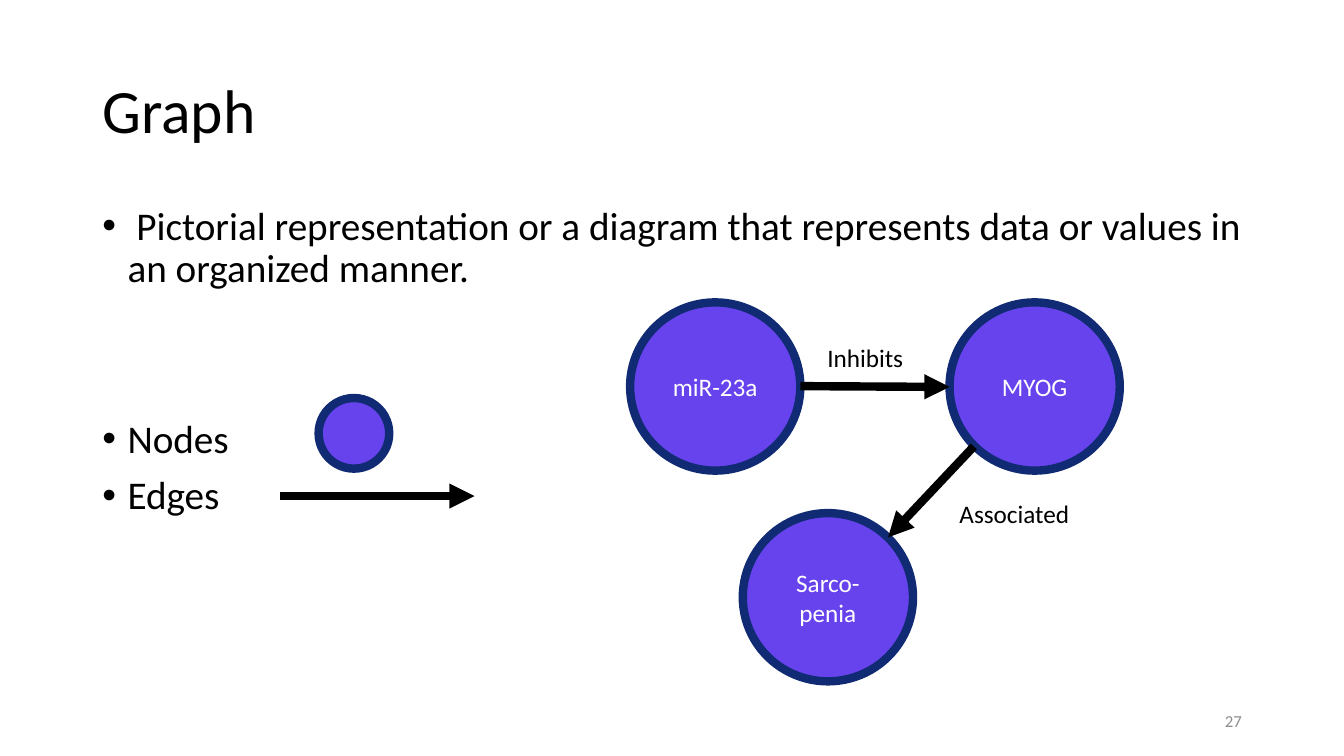
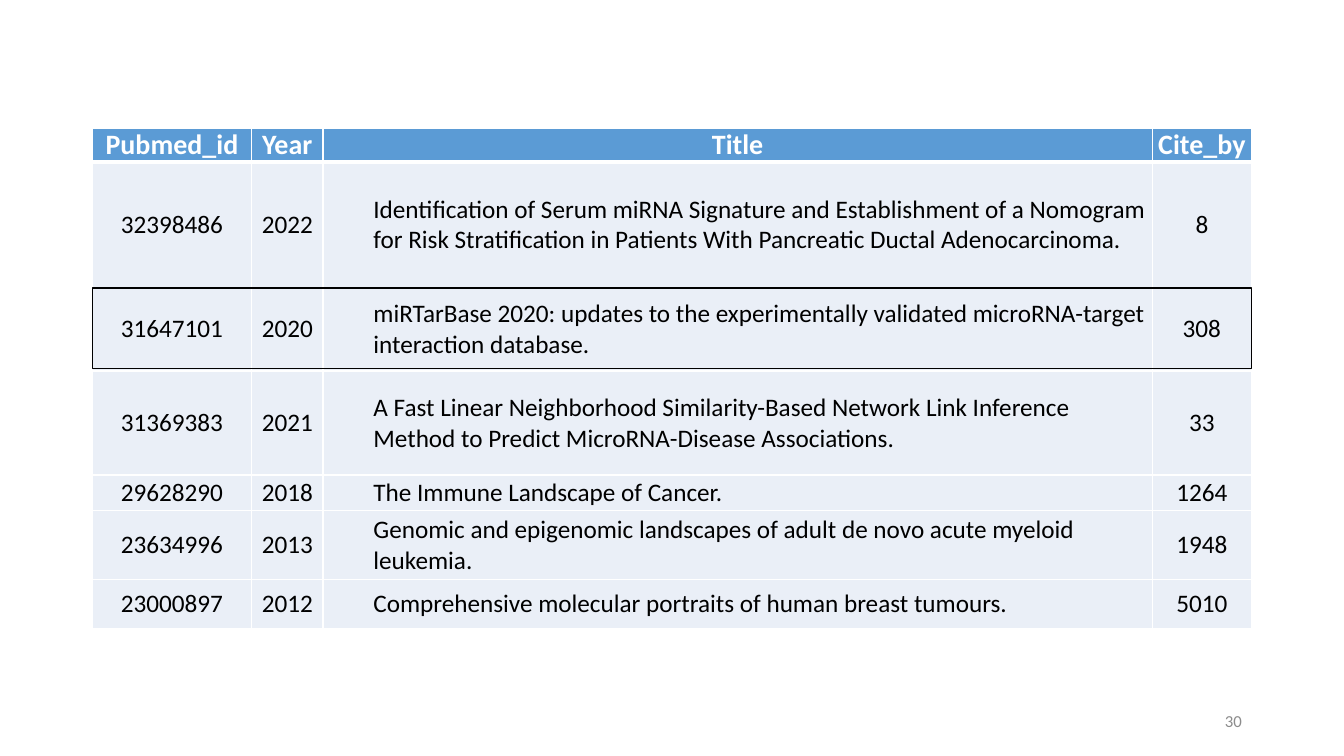
from lxml import etree
from pptx import Presentation
from pptx import util as u
from pptx.dml.color import RGBColor
from pptx.enum import shapes, text
from pptx.oxml import ns

BLACK, WHITE, GRAY = "000000", "FFFFFF", "8C8C8C"
NODE_FILL, NODE_LINE = "6743ED", "102A73"
HEADER_FILL, BODY_FILL = "5B9BD5", "EAEFF7"
LEFT, WIDTH = 2.33, 29.21
NODE_SIZE = (4.29, 4.24)
LEFT_ALIGN, CENTER, RIGHT = text.PP_ALIGN.LEFT, text.PP_ALIGN.CENTER, text.PP_ALIGN.RIGHT
MIDDLE, TOP = text.MSO_ANCHOR.MIDDLE, text.MSO_ANCHOR.TOP


def color(value):
    return RGBColor.from_string(value)


def add_element(parent, tag, **attributes):
    return etree.SubElement(parent, ns.qn(tag), attributes)


class Deck:
    """Hold the shared style and the current slide, and draw its elements."""

    font = "Calibri"

    def __init__(self):
        self.presentation = Presentation()
        self.presentation.slide_width = u.Cm(33.87)
        self.presentation.slide_height = u.Cm(19.05)
        self.slide = None

    def add_slide(self, number):
        self.slide = self.presentation.slides.add_slide(self.presentation.slide_layouts[6])
        self.text_box((23.93, 17.65, 7.62, 1.02), [str(number)], 12, GRAY, RIGHT, MIDDLE)

    def style(self, paragraph, size, ink, align=LEFT_ALIGN, bold=False):
        paragraph.alignment = align
        for run in paragraph.runs:
            run.font.name = self.font
            run.font.size = u.Pt(size)
            run.font.bold = bold
            run.font.color.rgb = color(ink)

    def text_box(self, box, lines, size, ink=BLACK, align=LEFT_ALIGN, anchor=TOP, wrap=True):
        frame = self.slide.shapes.add_textbox(*map(u.Cm, box)).text_frame
        frame.word_wrap = wrap
        frame.vertical_anchor = anchor
        frame.text = "\n".join(lines)
        for paragraph in frame.paragraphs:
            self.style(paragraph, size, ink, align)
        return frame

    def title(self, words):
        frame = self.text_box((LEFT, 1.02, WIDTH, 3.68), [words], 44, anchor=MIDDLE)
        frame.paragraphs[0].line_spacing = 0.9

    def bullets(self, items):
        lines, gaps = zip(*items)
        frame = self.text_box((LEFT, 5.08, WIDTH, 12.09), lines, 28)
        for paragraph, gap in zip(frame.paragraphs, gaps):
            paragraph.line_spacing = 0.9
            paragraph.space_before = u.Pt(gap)
            properties = paragraph._p.get_or_add_pPr()
            properties.set("marL", str(u.Cm(0.635)))
            properties.set("indent", str(-u.Cm(0.635)))
            add_element(properties, "a:buFont", typeface="Arial")
            add_element(properties, "a:buChar", char="•")

    def label(self, box, words):
        self.text_box(box, [words], 18, wrap=False)

    def shape(self, kind, box, line, line_width, fill=None):
        shape = self.slide.shapes.add_shape(kind, *map(u.Cm, box))
        shape.shadow.inherit = False
        if fill:
            shape.fill.solid()
            shape.fill.fore_color.rgb = color(fill)
        else:
            shape.fill.background()
        shape.line.color.rgb = color(line)
        shape.line.width = u.Pt(line_width)
        return shape

    def node(self, left, top, words="", size=NODE_SIZE):
        shape = self.shape(shapes.MSO_SHAPE.OVAL, (left, top, *size), NODE_LINE, 6, NODE_FILL)
        if words:
            frame = shape.text_frame
            frame.word_wrap = True
            frame.vertical_anchor = MIDDLE
            frame.text = words
            self.style(frame.paragraphs[0], 18, WHITE, CENTER)

    def edge(self, *ends):
        connector = self.slide.shapes.add_connector(
            shapes.MSO_CONNECTOR.STRAIGHT, *map(u.Cm, ends))
        connector.line.color.rgb = color(BLACK)
        connector.line.width = u.Pt(6)
        add_element(connector.line._get_or_add_ln(), "a:tailEnd", type="triangle")
        add_element(connector._element.spPr, "a:effectLst")

    def outline(self, box):
        self.shape(shapes.MSO_SHAPE.RECTANGLE, box, BLACK, 1)

    def cell(self, cell, words, fill, borders, size, ink, align, bold):
        properties = cell._tc.get_or_add_tcPr()
        for side, width in borders.items():
            line = add_element(properties, f"a:ln{side}", w=str(u.Pt(width)))
            add_element(add_element(line, "a:solidFill"), "a:srgbClr", val=WHITE)
        cell.fill.solid()
        cell.fill.fore_color.rgb = color(fill)
        cell.margin_left = u.Cm(1.27 if align == LEFT_ALIGN else 0)
        cell.margin_right = cell.margin_top = cell.margin_bottom = 0
        cell.vertical_anchor = MIDDLE
        cell.text = words
        self.style(cell.text_frame.paragraphs[0], size, ink, align, bold)

    def table(self, left, top, widths, heights, rows, left_column):
        table = self.slide.shapes.add_table(
            len(rows), len(widths),
            *map(u.Cm, (left, top, sum(widths), sum(heights)))).table
        table.horz_banding = False
        for column, width in zip(table.columns, widths):
            column.width = u.Cm(width)
        for row, height in zip(table.rows, heights):
            row.height = u.Cm(height)
        for i, values in enumerate(rows):
            header = i == 0
            borders = {"L": 1, "R": 1, "T": 3 if i == 1 else 1, "B": 3 if header else 1}
            fill, size, ink = (HEADER_FILL, 20, WHITE) if header else (BODY_FILL, 18, BLACK)
            for j, words in enumerate(values):
                align = LEFT_ALIGN if j == left_column and not header else CENTER
                self.cell(table.cell(i, j), words, fill, borders, size, ink, align, header)


def graph_slide(deck):
    deck.add_slide(27)
    deck.title("Graph")
    deck.bullets([
        (" Pictorial representation or a diagram that represents data or values in "
         "an organized manner.", 0),
        ("Nodes", 91.5),
        ("Edges", 10),
    ])
    deck.node(8.03, 10.03, size=(1.78, 1.78))
    deck.edge(7.06, 12.5, 11.96, 12.5)
    for left, top, words in [(15.88, 7.62, "miR-23a"), (23.93, 7.62, "MYOG"),
                             (18.72, 12.93, "Sarco-penia")]:
        deck.node(left, top, words)
    deck.edge(20.17, 9.73, 23.93, 9.75)
    deck.label((20.6, 8.51, 2.44, 1.02), "Inhibits")
    deck.edge(24.54, 11.25, 22.38, 13.54)
    deck.label((23.93, 12.42, 3.3, 1.02), "Associated")


def papers_slide(deck):
    deck.add_slide(30)
    papers = [
        ("Pubmed_id", "Year", "Title", "Cite_by"),
        ("32398486", "2022", "Identification of Serum miRNA Signature and Establishment of a "
         "Nomogram for Risk Stratification in Patients With Pancreatic Ductal Adenocarcinoma.", "8"),
        ("31647101", "2020", "miRTarBase 2020: updates to the experimentally validated "
         "microRNA-target interaction database.", "308"),
        ("31369383", "2021", "A Fast Linear Neighborhood Similarity-Based Network Link Inference "
         "Method to Predict MicroRNA-Disease Associations.", "33"),
        ("29628290", "2018", "The Immune Landscape of Cancer.", "1264"),
        ("23634996", "2013", "Genomic and epigenomic landscapes of adult de novo acute myeloid "
         "leukemia.", "1948"),
        ("23000897", "2012", "Comprehensive molecular portraits of human breast tumours.", "5010"),
    ]
    deck.table(LEFT, 3.23, [4.01, 1.8, 20.9, 2.5],
               [0.86, 3.15, 2.11, 2.62, 0.89, 1.75, 1.22], papers, left_column=2)
    deck.outline((LEFT, 7.26, WIDTH, 2.03))


def main():
    deck = Deck()
    graph_slide(deck)
    papers_slide(deck)
    deck.presentation.save("out.pptx")


if __name__ == "__main__":
    main()
